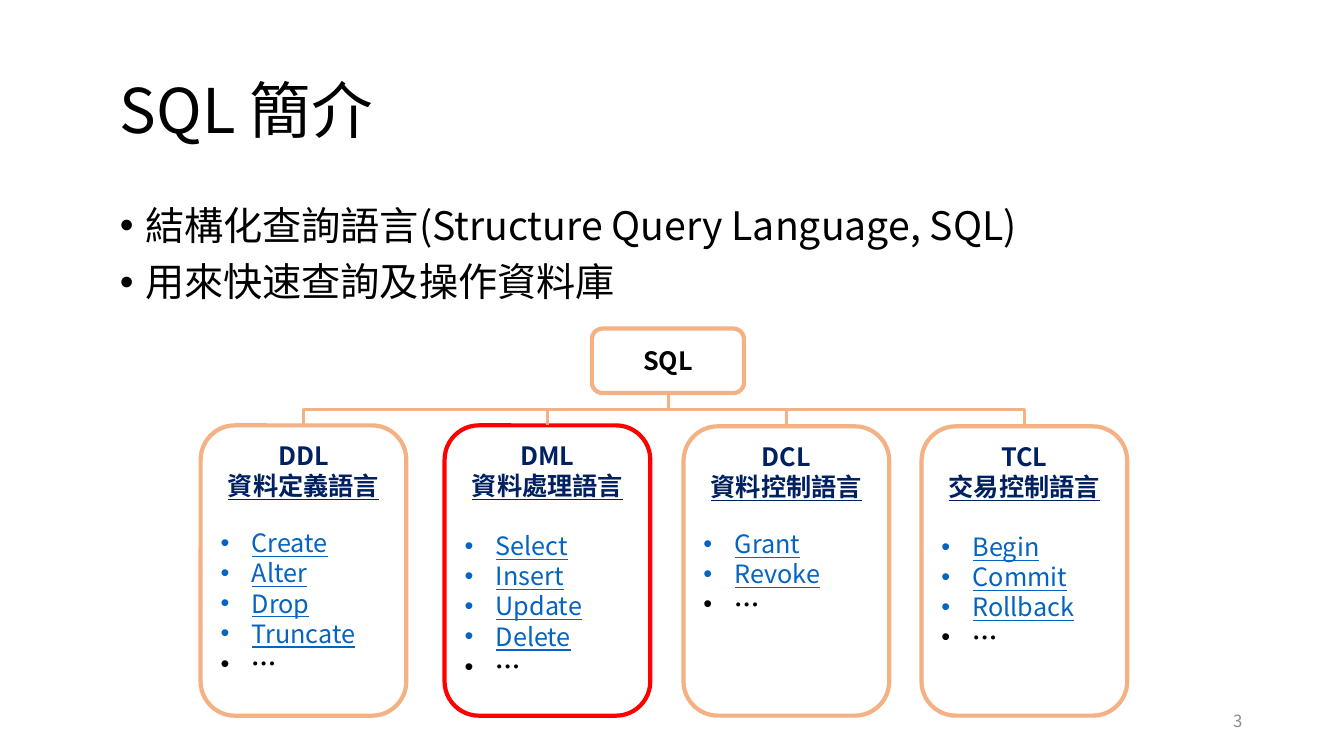
from dataclasses import dataclass

from lxml import etree
from pptx import Presentation
from pptx import util as u
from pptx.dml.color import RGBColor
from pptx.enum import shapes, text
from pptx.oxml.ns import qn


@dataclass(frozen=True)
class Theme:
    font: str = "Noto Sans CJK SC"
    black: str = "000000"
    white: str = "FFFFFF"
    grey: str = "8C8C8C"
    navy: str = "002060"
    link: str = "0563C1"
    orange: str = "F4B183"
    red: str = "FF0000"
    title: int = 44
    body: int = 28
    box: int = 18
    number: int = 12


T = Theme()
ALIGN = text.PP_ALIGN
MIDDLE, TOP = text.MSO_ANCHOR.MIDDLE, text.MSO_ANCHOR.TOP


def prepare(sp, anchor=TOP):
    """Set up a text frame and, for a preset shape, its fill and shadow."""
    tf = sp.text_frame
    tf.word_wrap = True
    tf.vertical_anchor = anchor
    if sp.shape_type == shapes.MSO_SHAPE_TYPE.AUTO_SHAPE:
        sp.shadow.inherit = False
        sp.fill.solid()
        sp.fill.fore_color.rgb = RGBColor.from_string(T.white)
        sp.line.width = u.Pt(3)
    return tf


def add_line(tf, wording, size, color=T.black, bold=False, underline=False,
             align=ALIGN.LEFT, indent=0):
    """Add one paragraph with one run; an indent also gives it a bullet."""
    p = tf.paragraphs[0] if not tf.paragraphs[0].runs else tf.add_paragraph()
    p.alignment = align
    if indent:
        pPr = p._p.get_or_add_pPr()
        pPr.set("marL", str(u.Inches(indent)))
        pPr.set("indent", str(-u.Inches(indent)))
        etree.SubElement(pPr, qn("a:buFont")).set("typeface", "Arial")
        etree.SubElement(pPr, qn("a:buChar")).set("char", "•")
    r = p.add_run()
    r.text = wording
    r.font.size = u.Pt(size)
    r.font.bold = bold
    r.font.underline = underline
    r.font.color.rgb = RGBColor.from_string(color)
    r.font.name = T.font
    etree.SubElement(r._r.get_or_add_rPr(), qn("a:ea")).set("typeface", T.font)
    return p


prs = Presentation()
prs.slide_width, prs.slide_height = u.Inches(13.33), u.Inches(7.5)
s = prs.slides.add_slide(prs.slide_layouts[6])

# Title
sp = s.shapes.add_textbox(u.Inches(1.09), u.Inches(0.4), u.Inches(10.95), u.Inches(1.45))
add_line(prepare(sp, MIDDLE), "SQL 簡介", T.title).line_spacing = 0.9

# Introduction
sp = s.shapes.add_textbox(u.Inches(1.09), u.Inches(2), u.Inches(10.95), u.Inches(1.11))
tf = prepare(sp)
for wording in ("結構化查詢語言(Structure Query Language, SQL)", "用來快速查詢及操作資料庫"):
    p = add_line(tf, wording, T.body, indent=0.25)
    p.line_spacing = 0.9
    p.space_before = u.Pt(10)

# Slide number
sp = s.shapes.add_textbox(u.Inches(9.42), u.Inches(6.95), u.Inches(3), u.Inches(0.4))
add_line(prepare(sp, MIDDLE), "3", T.number, T.grey, align=ALIGN.RIGHT)

# Root of the tree
ROUNDED = shapes.MSO_SHAPE.ROUNDED_RECTANGLE
sp = s.shapes.add_shape(ROUNDED, u.Inches(5.87), u.Inches(3.26), u.Inches(1.51), u.Inches(0.64))
sp.line.color.rgb = RGBColor.from_string(T.orange)
add_line(prepare(sp, MIDDLE), "SQL", T.box, bold=True, align=ALIGN.CENTER)

# Branches: left, top, outline, gap above the commands, heading, name, commands
branches = [
    (1.99, 4.22, T.orange, 19, "DDL", "資料定義語言", ["Create", "Alter", "Drop", "Truncate"]),
    (4.41, 4.22, T.red, 21, "DML", "資料處理語言", ["Select", "Insert", "Update", "Delete"]),
    (6.78, 4.23, T.orange, 19, "DCL", "資料控制語言", ["Grant", "Revoke"]),
    (9.14, 4.23, T.orange, 21, "TCL", "交易控制語言", ["Begin", "Commit", "Rollback"]),
]
box_width, box_bottom = 2.04, 7.1
for left, top, outline, gap, heading, name, commands in branches:
    sp = s.shapes.add_shape(ROUNDED, u.Inches(left), u.Inches(top),
                            u.Inches(box_width), u.Inches(box_bottom - top))
    sp.line.color.rgb = RGBColor.from_string(outline)
    tf = prepare(sp)
    add_line(tf, heading, T.box, T.navy, bold=True, align=ALIGN.CENTER)
    p = add_line(tf, name, T.box, T.navy, bold=True, underline=True, align=ALIGN.CENTER)
    p.space_after = u.Pt(gap)
    for command in commands:
        add_line(tf, command, T.box, T.link, underline=True, indent=0.31)
    add_line(tf, "…", T.box, bold=True, indent=0.31)

# Elbow connectors, laid out sideways and then turned to run downwards
root_x, root_bottom = 6.63, 3.9
for left, top, *_ in branches:
    end_x = left + box_width / 2
    mid_x, mid_y = (root_x + end_x) / 2, (root_bottom + top) / 2
    half_span = abs(end_x - root_x) / 2
    to_right = end_x > root_x
    half_drop = (top - root_bottom) / 2 * (1 if to_right else -1)
    cn = s.shapes.add_connector(
        shapes.MSO_CONNECTOR.ELBOW,
        u.Inches(mid_x + half_drop), u.Inches(mid_y - half_span),
        u.Inches(mid_x - half_drop), u.Inches(mid_y + half_span))
    spPr = cn._element.spPr
    spPr.find(qn("a:xfrm")).set("rot", str((270 if to_right else 90) * 60000))
    cn.line.color.rgb = RGBColor.from_string(T.orange)
    cn.line.width = u.Pt(2.25)
    etree.SubElement(spPr, qn("a:effectLst"))

prs.save("out.pptx")
